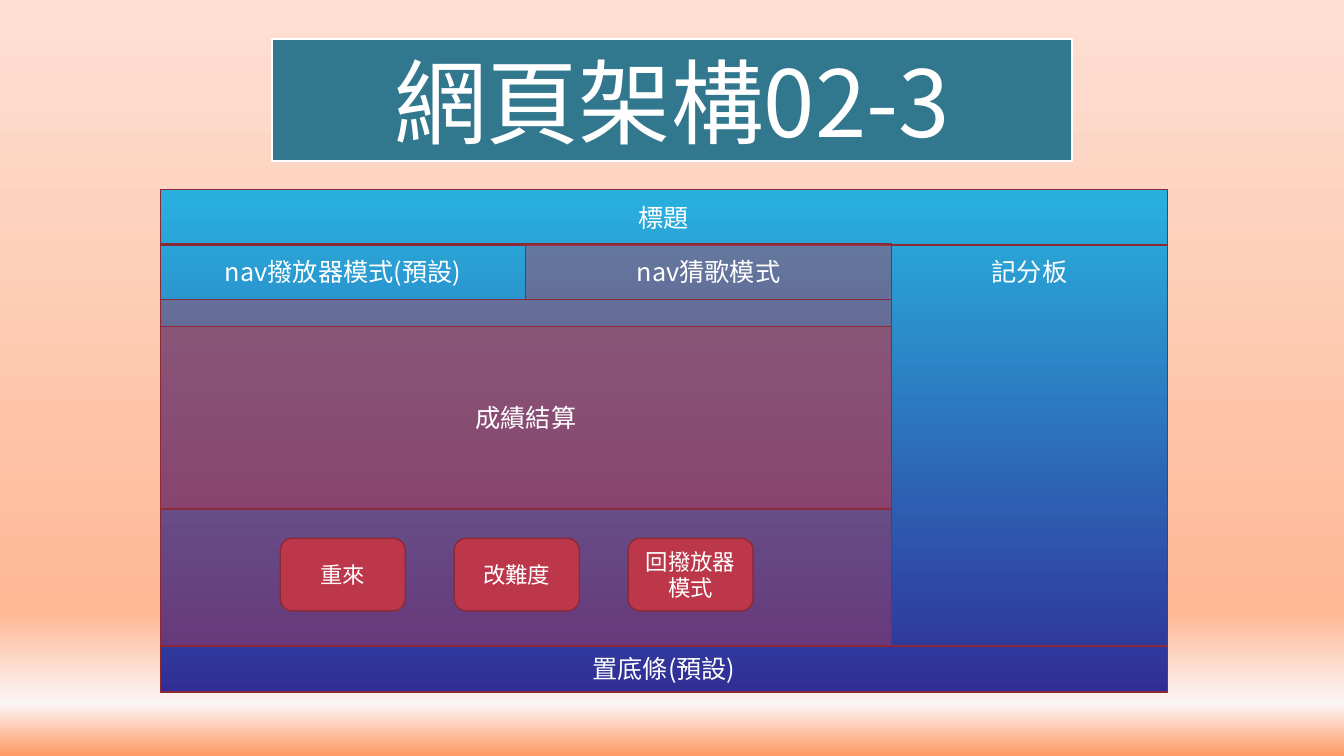
from lxml import etree
from pptx import Presentation
from pptx import util as u
from pptx.dml.color import RGBColor
from pptx.enum import shapes, text
from pptx.oxml.ns import qn

COLORS = {
    "white": "FFFFFF", "title": "31778E", "border": "8C2937", "red": "BD374A",
    "sky": "29B1DE", "indigo": "302E96", "blush": "FDDFD3", "peach": "FEB894",
    "mist": "FCF5F6", "orange": "FF9963",
}
FONT = "Noto Sans CJK SC"


def write_text(shape, words, size=18, color="white"):
    frame = shape.text_frame
    frame.word_wrap = True
    frame.vertical_anchor = text.MSO_ANCHOR.MIDDLE
    para = frame.paragraphs[0]
    para.alignment = text.PP_ALIGN.CENTER
    span = para.add_run()
    span.text = words
    span.font.size = u.Pt(size)
    span.font.name = FONT
    span.font.color.rgb = RGBColor.from_string(COLORS[color])
    properties = span.font._element
    etree.SubElement(properties, qn("a:ea")).set("typeface", FONT)


class WebLayoutSlide:
    def __init__(self, page):
        self.page = page

    def gradient(self, fill, owner, stops):
        fill.gradient()
        fill.gradient_angle = 270
        stop_list = next(owner.iter(qn("a:gsLst")))
        for stop in list(stop_list):
            stop_list.remove(stop)
        for percent, color in stops:
            stop = etree.SubElement(stop_list, qn("a:gs"), pos=str(percent * 1000))
            etree.SubElement(stop, qn("a:srgbClr"), val=COLORS[color])

    def background(self, stops):
        self.gradient(self.page.background.fill, self.page.element, stops)

    def box(self, left, top, width, height, words="", size=18, fill=None,
            alpha=100, line="border", weight=1, rounded=False):
        kind = shapes.MSO_SHAPE.ROUNDED_RECTANGLE if rounded else shapes.MSO_SHAPE.RECTANGLE
        box = self.page.shapes.add_shape(kind, *map(u.Inches, (left, top, width, height)))
        box.shadow.inherit = False
        box.line.color.rgb = RGBColor.from_string(COLORS[line])
        box.line.width = u.Pt(weight)
        if isinstance(fill, list):
            self.gradient(box.fill, box.element, fill)
        elif fill:
            box.fill.solid()
            box.fill.fore_color.rgb = RGBColor.from_string(COLORS[fill])
            if alpha < 100:
                color = next(box.element.spPr.iter(qn("a:srgbClr")))
                etree.SubElement(color, qn("a:alpha"), val=str(alpha * 1000))
        else:
            box.fill.background()
        if words:
            write_text(box, words, size=size)

    def label(self, left, top, width, height, words):
        label = self.page.shapes.add_textbox(*map(u.Inches, (left, top, width, height)))
        write_text(label, words)


def main():
    deck = Presentation()
    deck.slide_width, deck.slide_height = u.Inches(13.33), u.Inches(7.5)
    slide = WebLayoutSlide(deck.slides.add_slide(deck.slide_layouts[6]))
    slide.background([(2, "blush"), (81, "peach"), (93, "mist"), (100, "orange")])

    left, top, width, height = 1.59, 1.88, 9.99, 4.99
    row, tab, footer = 0.55, 3.625, 0.45
    nav_top, main_width = 2.42, 2 * tab
    body_top, footer_top = nav_top + row, 6.41

    slide.box(2.7, 0.39, 7.93, 1.21, "網頁架構02-3", size=66, fill="title",
              line="white", weight=1.5)
    slide.box(left, top, width, height, fill=[(0, "sky"), (100, "indigo")])
    slide.box(left, top, width, row, "標題")
    slide.box(left, nav_top, tab, row, "nav撥放器模式(預設)")
    slide.box(left + tab, nav_top, tab, row, "nav猜歌模式", fill="red", alpha=40)
    slide.box(left, body_top, main_width, footer_top - body_top, fill="red", alpha=40)
    slide.box(left, footer_top, width, footer, "置底條(預設)")
    slide.label(left + main_width, nav_top, width - main_width, row, "記分板")
    slide.box(left, 3.24, main_width, 1.81, "成績結算", fill="red", alpha=40)
    for index, words in enumerate(["重來", "改難度", "回撥放器模式"]):
        slide.box(2.78 + 1.725 * index, 5.34, 1.24, 0.72, words, size=16,
                  fill="red", rounded=True)

    deck.save("out.pptx")


if __name__ == "__main__":
    main()
